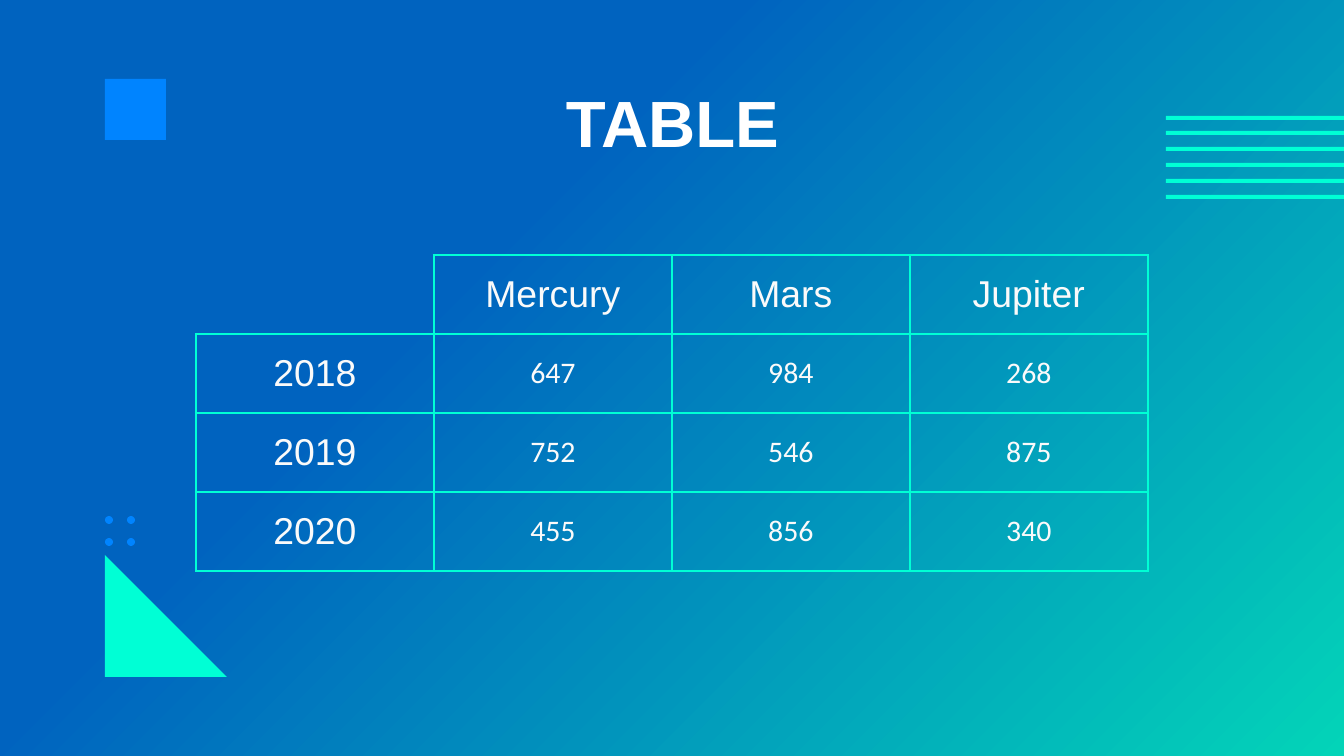
from dataclasses import dataclass

import pptx
import pptx.dml.color
import pptx.enum.shapes
import pptx.enum.text
import pptx.oxml
import pptx.oxml.ns
import pptx.util

RGBColor = pptx.dml.color.RGBColor
Preset = pptx.enum.shapes.MSO_SHAPE

DEEP_BLUE = RGBColor(0x00, 0x63, 0xBF)
TEAL = RGBColor(0x03, 0xD4, 0xB8)
MINT = RGBColor(0x00, 0xFF, 0xD5)
BRIGHT_BLUE = RGBColor(0x00, 0x84, 0xFF)
WHITE = RGBColor(0xFF, 0xFF, 0xFF)
OFF_WHITE = RGBColor(0xFA, 0xFA, 0xFA)

EMU_PER_PX = 914400 / 134.4
SLIDE_WIDTH, SLIDE_HEIGHT = 1344, 756
INSET = 13
COLUMN_WIDTH, ROW_HEIGHT = 238, 79
BORDER_POINTS = 1.5

ROWS = [
    ["", "Mercury", "Mars", "Jupiter"],
    ["2018", "647", "984", "268"],
    ["2019", "752", "546", "875"],
    ["2020", "455", "856", "340"],
]


@dataclass
class Decoration:
    preset: Preset
    left: int
    top: int
    width: int
    height: int
    color: RGBColor


@dataclass
class TextStyle:
    font: str
    points: int
    color: RGBColor
    bold: bool = False


TITLE_STYLE = TextStyle("Arial", 35, WHITE, bold=True)
HEADING_STYLE = TextStyle("Arial", 20, OFF_WHITE)
VALUE_STYLE = TextStyle("Calibri", 16, OFF_WHITE)

DECORATIONS = [
    Decoration(Preset.RIGHT_TRIANGLE, 105, 555, 122, 122, MINT),
    Decoration(Preset.RECTANGLE, 105, 79, 61, 61, BRIGHT_BLUE),
    *(Decoration(Preset.OVAL, left, top, 8, 8, BRIGHT_BLUE)
      for left in (105, 127) for top in (516, 538)),
    *(Decoration(Preset.RECTANGLE, 1166, 116 + index * 79 // 5, SLIDE_WIDTH - 1166, 4, MINT)
      for index in range(6)),
]


def px(length: int) -> pptx.util.Emu:
    return pptx.util.Emu(round(length * EMU_PER_PX))


def paint_background(slide) -> None:
    fill = slide.background.fill
    fill.gradient()
    fill.gradient_angle = 315
    for stop, position, color in zip(fill.gradient_stops, (0.35, 1), (DEEP_BLUE, TEAL)):
        stop.position = position
        stop.color.rgb = color


def draw_decoration(slide, item: Decoration) -> None:
    shape = slide.shapes.add_shape(
        item.preset, px(item.left), px(item.top), px(item.width), px(item.height))
    shape.shadow.inherit = False
    shape.fill.solid()
    shape.fill.fore_color.rgb = item.color
    shape.line.fill.background()


def write_centred(text_frame, text: str, style: TextStyle) -> None:
    paragraph = text_frame.paragraphs[0]
    paragraph.alignment = pptx.enum.text.PP_ALIGN.CENTER
    run = paragraph.add_run()
    run.text = text
    run.font.name = style.font
    run.font.size = pptx.util.Pt(style.points)
    run.font.bold = style.bold
    run.font.color.rgb = style.color


def set_insets(box) -> None:
    """Give a cell or text frame the same margin on all sides."""
    box.margin_left = box.margin_right = box.margin_top = box.margin_bottom = px(INSET)
    box.vertical_anchor = pptx.enum.text.MSO_ANCHOR.MIDDLE


def set_borders(cell, visible_sides: str) -> None:
    """Draw the sides named by L, R, T and B; leave the others without a line."""
    properties = cell._tc.get_or_add_tcPr()
    width = pptx.util.Pt(BORDER_POINTS)
    for index, side in enumerate("LRTB"):
        fill = (f'<a:solidFill><a:srgbClr val="{MINT}"/></a:solidFill>'
                if side in visible_sides else "<a:noFill/>")
        border = pptx.oxml.parse_xml(
            f'<a:ln{side} {pptx.oxml.ns.nsdecls("a")} w="{width}">{fill}</a:ln{side}>')
        properties.insert(index, border)


def draw_table(slide, left: int, top: int) -> None:
    row_count, column_count = len(ROWS), len(ROWS[0])
    table = slide.shapes.add_table(
        row_count, column_count, px(left), px(top),
        px(column_count * COLUMN_WIDTH), px(row_count * ROW_HEIGHT)).table
    table.first_row = False
    table.horz_banding = False
    for column in table.columns:
        column.width = px(COLUMN_WIDTH)
    for row in table.rows:
        row.height = px(ROW_HEIGHT)
    for row_index, texts in enumerate(ROWS):
        for column_index, text in enumerate(texts):
            cell = table.cell(row_index, column_index)
            cell.fill.background()
            set_insets(cell)
            set_borders(cell, "LRTB" if text else "RB")
            if text:
                is_heading = row_index == 0 or column_index == 0
                write_centred(cell.text_frame, text,
                              HEADING_STYLE if is_heading else VALUE_STYLE)


def place_title(slide, text: str) -> None:
    title = slide.shapes.title
    title.left, title.top, title.width, title.height = px(106), px(79), px(1133), px(85)
    title.text_frame.word_wrap = True
    title.text_frame.auto_size = pptx.enum.text.MSO_AUTO_SIZE.NONE
    set_insets(title.text_frame)
    write_centred(title.text_frame, text, TITLE_STYLE)


def main() -> None:
    presentation = pptx.Presentation()
    presentation.slide_width = px(SLIDE_WIDTH)
    presentation.slide_height = px(SLIDE_HEIGHT)
    slide = presentation.slides.add_slide(presentation.slide_layouts.get_by_name("Title Only"))
    paint_background(slide)
    for item in DECORATIONS:
        draw_decoration(slide, item)
    draw_table(slide, 196, 255)
    place_title(slide, "TABLE")
    presentation.save("out.pptx")


if __name__ == "__main__":
    main()
